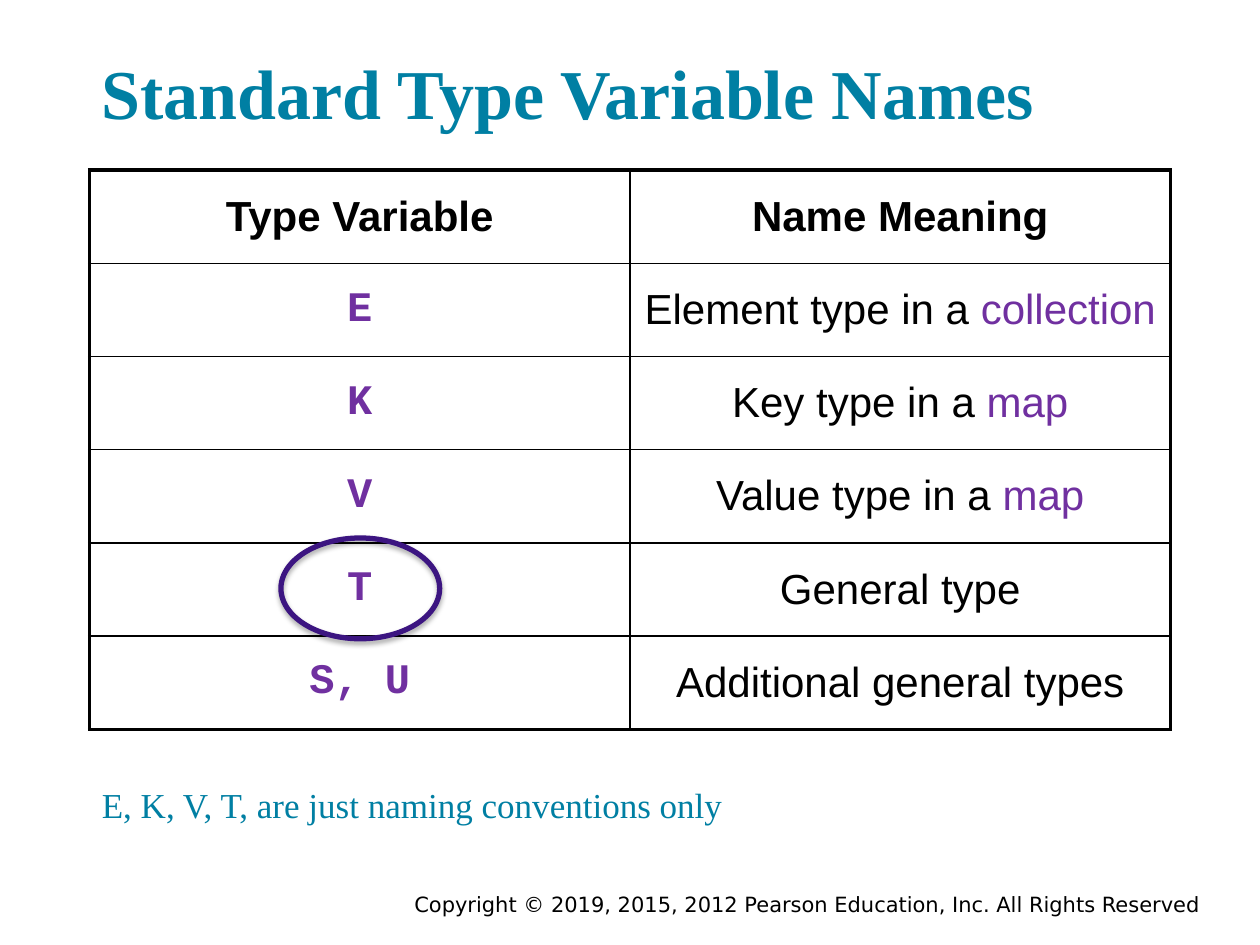
from lxml import etree
from pptx import Presentation
from pptx.dml.color import RGBColor
from pptx.enum.shapes import MSO_SHAPE
from pptx.enum.text import MSO_ANCHOR as Anchor, PP_ALIGN as Align
from pptx.oxml import parse_xml
from pptx.oxml.ns import nsdecls
from pptx.util import Inches, Pt

COLORS = {"teal": "007FA3", "purple": "7030A0", "ring": "3C1581", "black": "000000"}
ROWS = [
    ("E", "Element type in a ", "collection"),
    ("K", "Key type in a ", "map"),
    ("V", "Value type in a ", "map"),
    ("T", "General type", ""),
    ("S, U", "Additional general types", ""),
]


def write(para, pieces, font, size, bold=False, align=Align.LEFT):
    """Fill a paragraph with (text, colour name) pieces in one font."""
    para.alignment = align
    para.font.name, para.font.size, para.font.bold = font, Pt(size), bold
    for text, color in pieces:
        if text:
            span = para.add_run()
            span.text = text
            span.font.color.rgb = RGBColor.from_string(COLORS[color])


def set_borders(cell, widths):
    """Draw black cell borders; widths maps L, R, T and B to points."""
    props = cell._tc.get_or_add_tcPr()
    for index, (side, width) in enumerate(widths.items()):
        props.insert(index, parse_xml(
            f'<a:ln{side} {nsdecls("a")} w="{Pt(width)}"><a:solidFill>'
            f'<a:srgbClr val="{COLORS["black"]}"/></a:solidFill></a:ln{side}>'))


deck = Presentation()
deck.slide_width, deck.slide_height = Inches(10), Inches(7.5)
page = deck.slides.add_slide(deck.slide_layouts[6])

# Title, note and copyright line
texts = [
    ((0.71, 0.25, 8.79, 0.91), 0.1, "Standard Type Variable Names",
     "teal", "Times New Roman", 40, True, Align.LEFT, Anchor.BOTTOM),
    ((0.71, 6.21, 8.79, 0.44), 0.1, "E, K, V, T, are just naming conventions only",
     "teal", "Times New Roman", 20, False, Align.LEFT, Anchor.BOTTOM),
    ((1.75, 7.03, 7.83, 0.31), 0.05,
     "Copyright © 2019, 2015, 2012 Pearson Education, Inc. All Rights Reserved",
     "black", "DejaVu Sans", 12, False, Align.RIGHT, Anchor.TOP),
]
for place, inset, text, color, font, size, bold, align, anchor in texts:
    frame = page.shapes.add_textbox(*map(Inches, place)).text_frame
    frame.word_wrap = True
    frame.vertical_anchor = anchor
    frame.margin_left = frame.margin_right = Inches(inset)
    frame.margin_top = frame.margin_bottom = Inches(inset)
    write(frame.paragraphs[0], [(text, color)], font, size, bold, align)

# Table of type variables
table = page.shapes.add_table(len(ROWS) + 1, 2, Inches(0.71), Inches(1.35),
                              Inches(8.58), Inches(4.44)).table
table.first_row = table.horz_banding = False
for column, heading in enumerate(("Type Variable", "Name Meaning")):
    write(table.cell(0, column).text_frame.paragraphs[0], [(heading, "black")],
          "Arial", 24, True, Align.CENTER)
for row, (variable, meaning, keyword) in enumerate(ROWS, 1):
    write(table.cell(row, 0).text_frame.paragraphs[0], [(variable, "purple")],
          "Courier New", 24, True, Align.CENTER)
    write(table.cell(row, 1).text_frame.paragraphs[0],
          [(meaning, "black"), (keyword, "purple")], "Arial", 24, False, Align.CENTER)

OUTER, INNER = 2.25, 1
for row in range(len(ROWS) + 1):
    for column in range(2):
        cell = table.cell(row, column)
        cell.vertical_anchor = Anchor.MIDDLE
        cell.fill.background()
        set_borders(cell, {
            "L": OUTER if column == 0 else INNER,
            "R": OUTER if column == 1 else INNER,
            "T": OUTER if row == 0 else INNER,
            "B": OUTER if row == len(ROWS) else INNER,
        })

# Ring around T, with a soft shadow below it
ring = page.shapes.add_shape(MSO_SHAPE.OVAL, Inches(2.23), Inches(4.27),
                             Inches(1.26), Inches(0.8))
ring.fill.background()
ring.line.color.rgb = RGBColor.from_string(COLORS["ring"])
ring.line.width = Pt(3)
ring.shadow.inherit = False
effects = ring._element.spPr.find("{*}effectLst")
effects.append(etree.fromstring(
    f'<a:outerShdw {nsdecls("a")} blurRad="{Pt(3)}" dist="{Pt(1.8)}" dir="5400000" '
    f'rotWithShape="0"><a:srgbClr val="{COLORS["black"]}"><a:alpha val="35000"/>'
    '</a:srgbClr></a:outerShdw>'))

deck.save("out.pptx")
